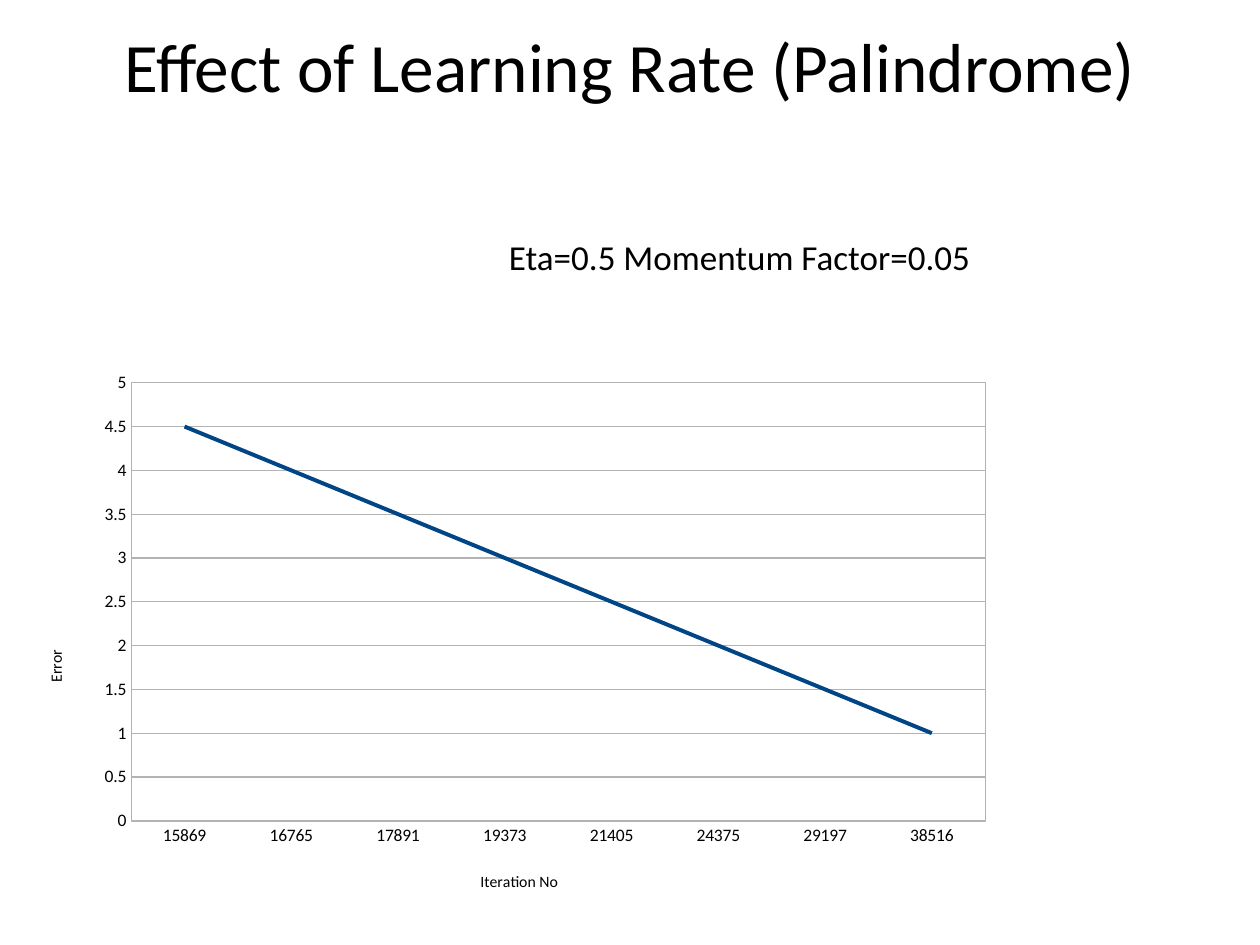
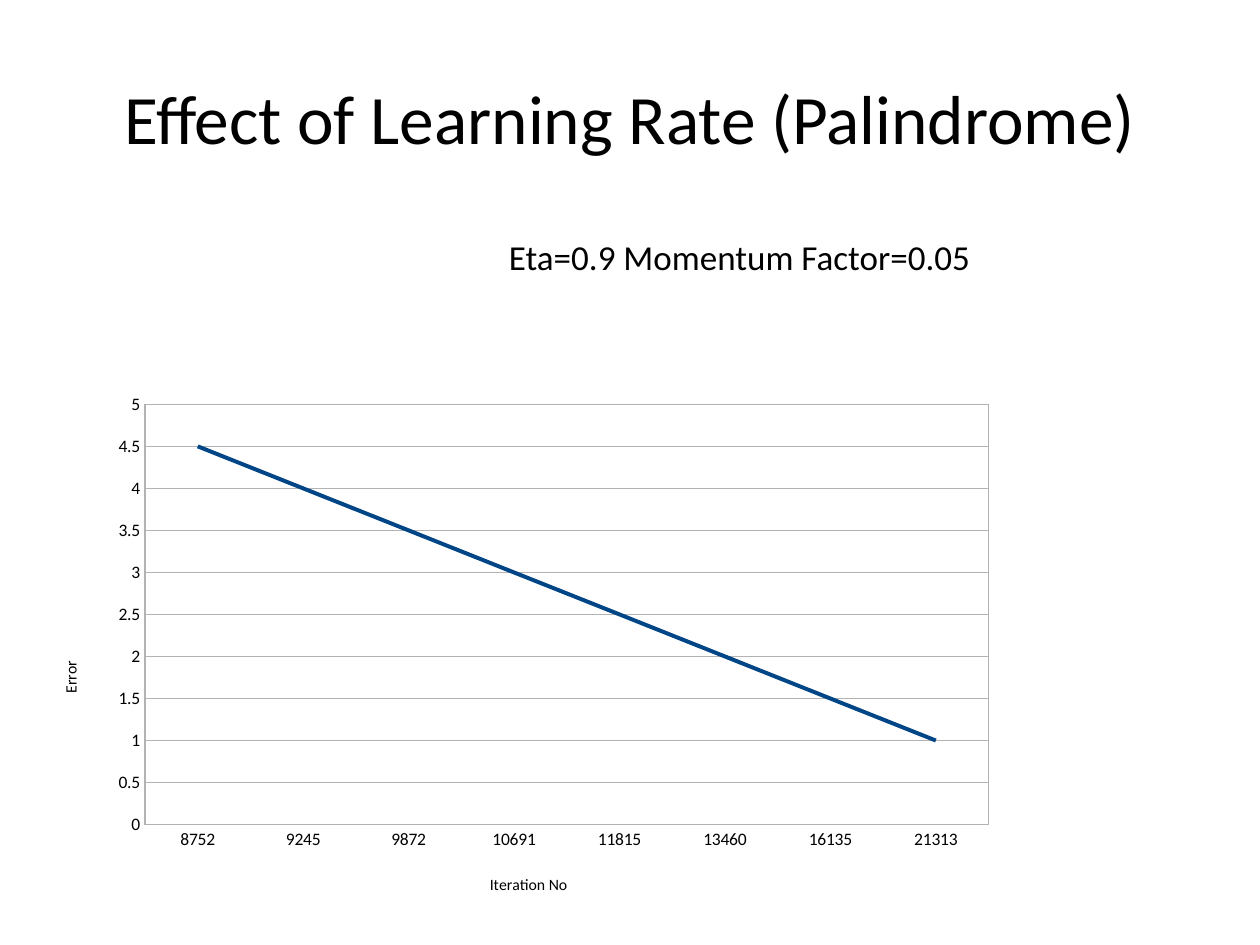
from lxml import etree
from pptx import Presentation
from pptx.chart.data import CategoryChartData
from pptx.dml.color import RGBColor
from pptx.enum.chart import XL_CHART_TYPE, XL_MARKER_STYLE, XL_TICK_MARK
from pptx.enum.text import MSO_ANCHOR, MSO_AUTO_SIZE, PP_ALIGN
from pptx.oxml import parse_xml
from pptx.oxml.ns import nsdecls, qn
from pptx.util import Inches, Pt

LINE_CHART = XL_CHART_TYPE.LINE
NO_MARKER = XL_MARKER_STYLE.NONE
NO_TICK = XL_TICK_MARK.NONE
CENTER = PP_ALIGN.CENTER
MIDDLE, TOP = MSO_ANCHOR.MIDDLE, MSO_ANCHOR.TOP
FIXED = MSO_AUTO_SIZE.NONE

TITLE = "Effect of Learning Rate (Palindrome)"
ERRORS = [4.5, 4, 3.5, 3, 2.5, 2, 1.5, 1]
PAGES = [
    {
        "eta": "0.5",
        "title_top": -0.11,
        "chart_corner": (0, 1.39),
        "iterations": [15869, 16765, 17891, 19373, 21405, 24375, 29197, 38516],
    },
    {
        "eta": "0.9",
        "title_top": 0.3,
        "chart_corner": (0.12, 1.62),
        "iterations": [8752, 9245, 9872, 10691, 11815, 13460, 16135, 21313],
    },
]

PAGE_WIDTH, PAGE_HEIGHT = 10, 7.5
FONT, BLACK, GRID, CURVE = "Calibri", "000000", "B3B3B3", "004586"
GRID_WIDTH, CURVE_WIDTH = 0.75, 2.27

# Places inside the chart, as fractions of its width and height
PLOT_PLACE = {"x": 0.083, "y": 0.257, "w": 0.699, "h": 0.614}
ITERATION_PLACE = {"x": 0.379, "y": 0.9}
ERROR_PLACE = {"x": 0.034, "y": 0.613}


def color(hex_code):
    return RGBColor.from_string(hex_code)


def apply(target, formats):
    for name, value in formats.items():
        setattr(target, name, value)


def style_font(font, size):
    apply(font, {"name": FONT, "size": Pt(size), "bold": False})
    font.color.rgb = color(BLACK)


def style_line(line, hex_code, width):
    line.color.rgb = color(hex_code)
    line.width = Pt(width)


def write(shape, text, size, anchor):
    frame = shape.text_frame
    apply(frame, {"text": text, "word_wrap": True, "auto_size": FIXED,
                  "vertical_anchor": anchor})
    para = frame.paragraphs[0]
    para.alignment = CENTER
    style_font(para.runs[0].font, size)


def place_inside_chart(parent, index, place, target=None):
    """Give a chart part a manual layout as its child at the index."""
    for old in parent.findall(qn("c:layout")):
        parent.remove(old)
    layout = parse_xml(f"<c:layout {nsdecls('c')}><c:manualLayout/></c:layout>")
    values = {"layoutTarget": target} if target else {}
    values.update({"xMode": "edge", "yMode": "edge"}, **place)
    for tag, value in values.items():
        etree.SubElement(layout[0], qn(f"c:{tag}")).set("val", str(value))
    parent.insert(index, layout)


def style_axis(axis, title, place, rotation):
    apply(axis, {"major_tick_mark": NO_TICK, "minor_tick_mark": NO_TICK})
    style_font(axis.tick_labels.font, 10)
    style_line(axis.format.line, GRID, GRID_WIDTH)
    frame = axis.axis_title.text_frame
    frame.text = title
    style_font(frame.paragraphs[0].runs[0].font, 9)
    title_xml = frame._txBody.getparent().getparent()
    title_xml.find(".//" + qn("a:bodyPr")).set("rot", str(rotation * 60000))
    place_inside_chart(title_xml, 1, place)


def frame_plot(chart):
    plot_area = chart._chartSpace.find(".//" + qn("c:plotArea"))
    place_inside_chart(plot_area, 0, PLOT_PLACE, "outer")
    plot_area.append(parse_xml(
        f"<c:spPr {nsdecls('c', 'a')}><a:noFill/><a:ln w='{Pt(GRID_WIDTH)}'>"
        f"<a:solidFill><a:srgbClr val='{GRID}'/></a:solidFill></a:ln></c:spPr>"))


def add_error_chart(page, iterations, left, top):
    data = CategoryChartData()
    data.categories = [str(number) for number in iterations]
    data.add_series("Series 1", ERRORS)
    chart = page.shapes.add_chart(
        LINE_CHART, Inches(left), Inches(top),
        Inches(PAGE_WIDTH - left), Inches(PAGE_HEIGHT - top), data).chart
    apply(chart, {"has_legend": False, "has_title": False})
    style_font(chart.font, 10)

    style_axis(chart.category_axis, "Iteration No", ITERATION_PLACE, 0)
    style_axis(chart.value_axis, "Error", ERROR_PLACE, -90)
    apply(chart.value_axis, {"minimum_scale": 0, "maximum_scale": 5,
                             "major_unit": 0.5, "has_major_gridlines": True})
    style_line(chart.value_axis.major_gridlines.format.line, GRID, GRID_WIDTH)

    plot = chart.plots[0]
    plot.vary_by_categories = False
    curve = plot.series[0]
    curve.smooth = False
    curve.marker.style = NO_MARKER
    style_line(curve.format.line, CURVE, CURVE_WIDTH)
    frame_plot(chart)


def add_page(deck, content):
    page = deck.slides.add_slide(deck.slide_layouts[5])
    title = page.shapes.title
    apply(title, {"left": Inches(0.5), "top": Inches(content["title_top"]),
                  "width": Inches(9), "height": Inches(1.25)})
    write(title, TITLE, 39.6, MIDDLE)

    box = page.shapes.add_textbox(Inches(3.9), Inches(1.82), Inches(3.94), Inches(0.44))
    write(box, f"Eta={content['eta']} Momentum Factor=0.05", 20, TOP)
    add_error_chart(page, content["iterations"], *content["chart_corner"])


def main():
    deck = Presentation()
    apply(deck, {"slide_width": Inches(PAGE_WIDTH), "slide_height": Inches(PAGE_HEIGHT)})
    for content in PAGES:
        add_page(deck, content)
    deck.save("out.pptx")


if __name__ == "__main__":
    main()
